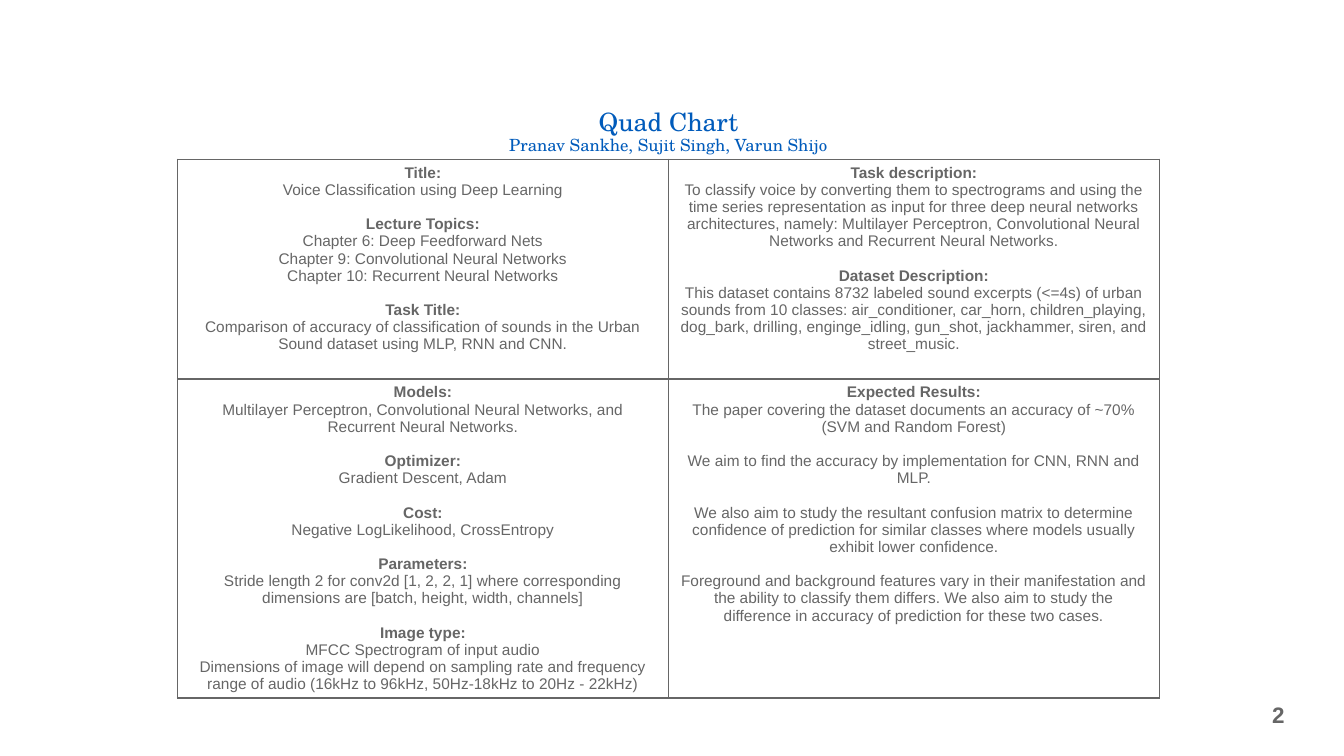
from lxml import etree
from pptx import Presentation
from pptx.dml.color import RGBColor
from pptx.enum.text import MSO_ANCHOR, MSO_AUTO_SIZE, PP_ALIGN
from pptx.oxml.ns import qn
from pptx.util import Inches, Pt

CENTER, RIGHT = PP_ALIGN.CENTER, PP_ALIGN.RIGHT
MIDDLE, TOP = MSO_ANCHOR.MIDDLE, MSO_ANCHOR.TOP
NO_FIT = MSO_AUTO_SIZE.NONE

TITLE = "Quad Chart"
AUTHORS = "Pranav Sankhe, Sujit Singh, Varun Shijo"
PAGE_NUMBER = "2"

QUADRANTS = [
    [
        [
            ("Title:", ["Voice Classification using Deep Learning"]),
            ("Lecture Topics:", [
                "Chapter 6: Deep Feedforward Nets",
                "Chapter 9: Convolutional Neural Networks",
                "Chapter 10: Recurrent Neural Networks",
            ]),
            ("Task Title:", [
                "Comparison of accuracy of classification of sounds in the Urban "
                "Sound dataset using MLP, RNN and CNN.",
            ]),
        ],
        [
            ("Task description:", [
                "To classify voice by converting them to spectrograms and using the time "
                "series representation as input for three deep neural networks architectures, "
                "namely: Multilayer Perceptron, Convolutional Neural Networks and Recurrent "
                "Neural Networks.",
            ]),
            ("Dataset Description:", [
                "This dataset contains 8732 labeled sound excerpts (<=4s) of urban sounds "
                "from 10 classes: air_conditioner, car_horn, children_playing, dog_bark, "
                "drilling, enginge_idling, gun_shot, jackhammer, siren, and street_music.",
            ]),
        ],
    ],
    [
        [
            ("Models:", [
                "Multilayer Perceptron, Convolutional Neural Networks, and Recurrent "
                "Neural Networks.",
            ]),
            ("Optimizer:", ["Gradient Descent, Adam"]),
            ("Cost:", ["Negative LogLikelihood, CrossEntropy"]),
            ("Parameters:", [
                "Stride length 2 for conv2d [1, 2, 2, 1] where corresponding dimensions "
                "are [batch, height, width, channels]",
            ]),
            ("Image type:", [
                "MFCC Spectrogram of input audio",
                "Dimensions of image will depend on sampling rate and frequency range of "
                "audio (16kHz to 96kHz, 50Hz-18kHz to 20Hz - 22kHz)",
            ]),
        ],
        [
            ("Expected Results:", [
                "The paper covering the dataset documents an accuracy of ~70% "
                "(SVM and Random Forest)",
            ]),
            (None, ["We aim to find the accuracy by implementation for CNN, RNN and MLP."]),
            (None, [
                "We also aim to study the resultant confusion matrix to determine confidence "
                "of prediction for similar classes where models usually exhibit lower confidence.",
            ]),
            (None, [
                "Foreground and background features vary in their manifestation and the "
                "ability to classify them differs. We also aim to study the difference in "
                "accuracy of prediction for these two cases.",
            ]),
        ],
    ],
]

COLORS = {"title": "005BBB", "text": "666666", "cell": "FFFFFF"}
TITLE_FONT, BODY_FONT = "TeX Gyre Schola", "Arial"
LEFT, TITLE_TOP, TABLE_TOP = 1.76, 1.04, 1.58
COLUMN_WIDTH, ROW_HEIGHTS = 4.87, [2.18, 3.16]
TABLE_WIDTH = 2 * COLUMN_WIDTH
GROUP_GAP = 12.3


def add_run(paragraph, text, font_name, size, color, bold=False):
    run = paragraph.add_run()
    run.text = text
    run.font.name = font_name
    run.font.size = Pt(size)
    run.font.bold = bold
    run.font.color.rgb = RGBColor.from_string(COLORS[color])


def set_borders(cell):
    properties = cell._tc.get_or_add_tcPr()
    for index, side in enumerate(["lnL", "lnR", "lnT", "lnB"]):
        line = etree.Element(qn(f"a:{side}"), w=str(Pt(1)))
        fill = etree.SubElement(line, qn("a:solidFill"))
        etree.SubElement(fill, qn("a:srgbClr"), val=COLORS["text"])
        properties.insert(index, line)


def fill_cell(cell, groups):
    cell.fill.solid()
    cell.fill.fore_color.rgb = RGBColor.from_string(COLORS["cell"])
    cell.vertical_anchor = TOP
    set_borders(cell)
    frame = cell.text_frame
    paragraph = frame.paragraphs[0]
    for group_index, (heading, lines) in enumerate(groups):
        entries = ([(heading, True)] if heading else []) + [(line, False) for line in lines]
        for entry_index, (text, bold) in enumerate(entries):
            if group_index or entry_index:
                paragraph = frame.add_paragraph()
            paragraph.alignment = CENTER
            if group_index and not entry_index:
                paragraph.space_before = Pt(GROUP_GAP)
            add_run(paragraph, text, BODY_FONT, 11, "text", bold)


def add_title(slide):
    title = slide.shapes.title
    title.left, title.top = Inches(LEFT), Inches(TITLE_TOP)
    title.width, title.height = Inches(TABLE_WIDTH), Inches(0.55)
    frame = title.text_frame
    frame.auto_size = NO_FIT
    frame.vertical_anchor = MIDDLE
    paragraph = frame.paragraphs[0]
    paragraph.alignment = CENTER
    paragraph.line_spacing = 0.9
    add_run(paragraph, TITLE, TITLE_FONT, 18, "title")
    paragraph.add_line_break()
    add_run(paragraph, AUTHORS, TITLE_FONT, 12, "title")


def add_quad_table(slide):
    table = slide.shapes.add_table(
        2, 2, Inches(LEFT), Inches(TABLE_TOP), Inches(TABLE_WIDTH), Inches(sum(ROW_HEIGHTS))
    ).table
    table.first_row = table.horz_banding = False
    for column in table.columns:
        column.width = Inches(COLUMN_WIDTH)
    for row, height, quadrants in zip(table.rows, ROW_HEIGHTS, QUADRANTS):
        row.height = Inches(height)
        for cell, groups in zip(row.cells, quadrants):
            fill_cell(cell, groups)


def add_page_number(slide):
    box = slide.shapes.add_textbox(Inches(12.08), Inches(6.8), Inches(0.79), Inches(0.58))
    frame = box.text_frame
    frame.word_wrap = True
    frame.vertical_anchor = MIDDLE
    frame.margin_left = frame.margin_right = Inches(0.13)
    frame.margin_top = frame.margin_bottom = Inches(0.07)
    paragraph = frame.paragraphs[0]
    paragraph.alignment = RIGHT
    add_run(paragraph, PAGE_NUMBER, BODY_FONT, 16, "text", True)


def main():
    presentation = Presentation()
    presentation.slide_width, presentation.slide_height = Inches(13.33), Inches(7.5)
    slide = presentation.slides.add_slide(presentation.slide_layouts[5])
    add_title(slide)
    add_quad_table(slide)
    add_page_number(slide)
    presentation.save("out.pptx")


if __name__ == "__main__":
    main()
